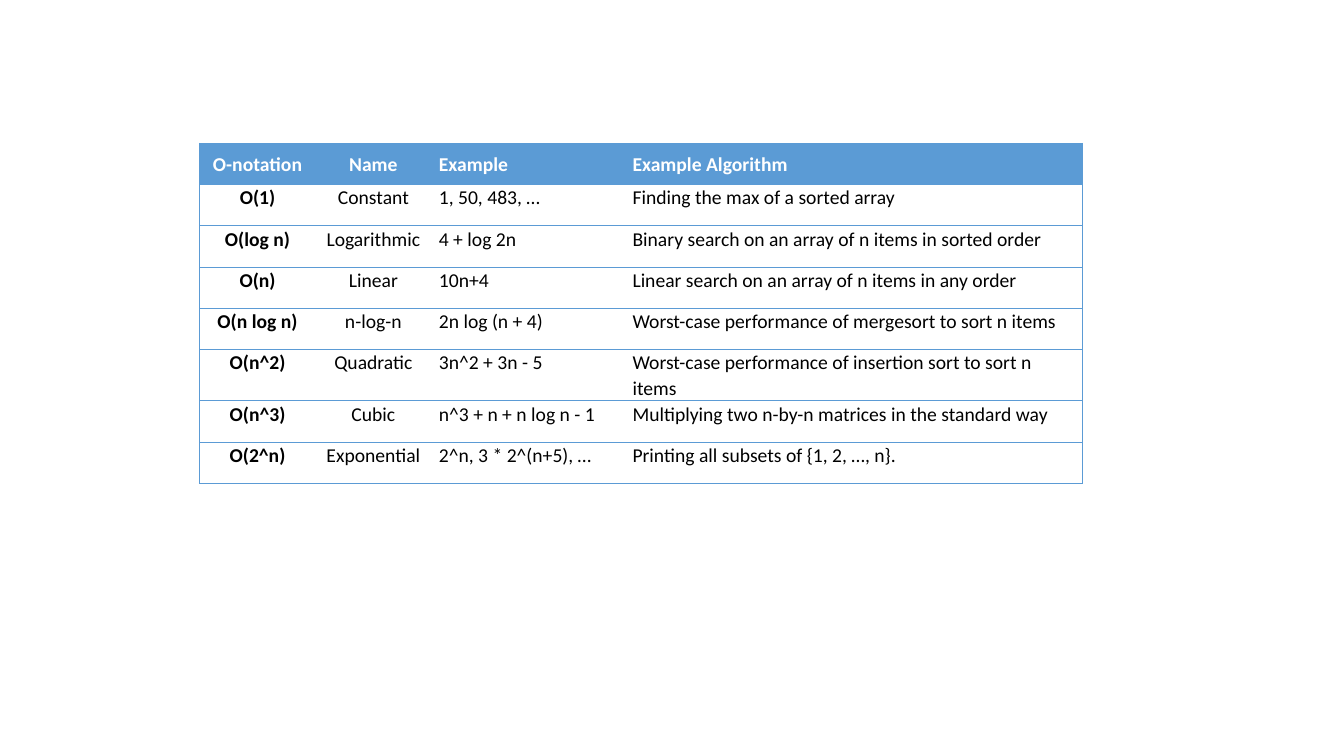
from typing import NamedTuple

from lxml.etree import SubElement
from pptx import Presentation
from pptx.dml.color import RGBColor
from pptx.enum.text import MSO_ANCHOR, PP_ALIGN
from pptx.oxml.ns import qn
from pptx.table import _Cell
from pptx.util import Cm, Pt

BLUE, WHITE, BLACK = "5B9BD5", "FFFFFF", "000000"
ROW_HEIGHT = 1.04


class Column(NamedTuple):
    width: float
    align: PP_ALIGN
    bold: bool


class Complexity(NamedTuple):
    notation: str
    name: str
    example: str
    algorithm: str


COLUMNS = [
    Column(2.92, PP_ALIGN.CENTER, True),
    Column(2.92, PP_ALIGN.CENTER, False),
    Column(4.88, PP_ALIGN.LEFT, False),
    Column(11.53, PP_ALIGN.LEFT, False),
]

ROWS = [
    Complexity("O-notation", "Name", "Example", "Example Algorithm"),
    Complexity("O(1)", "Constant", "1, 50, 483, …", "Finding the max of a sorted array"),
    Complexity("O(log n)", "Logarithmic", "4 + log 2n",
               "Binary search on an array of n items in sorted order"),
    Complexity("O(n)", "Linear", "10n+4", "Linear search on an array of n items in any order"),
    Complexity("O(n log n)", "n-log-n", "2n log (n + 4)",
               "Worst-case performance of mergesort to sort n items"),
    Complexity("O(n^2)", "Quadratic", "3n^2 + 3n - 5",
               "Worst-case performance of insertion sort to sort n items"),
    Complexity("O(n^3)", "Cubic", "n^3 + n + n log n - 1",
               "Multiplying two n-by-n matrices in the standard way"),
    Complexity("O(2^n)", "Exponential", "2^n, 3 * 2^(n+5), …",
               "Printing all subsets of {1, 2, …, n}."),
]


def rgb(color: str) -> RGBColor:
    return RGBColor.from_string(color)


def set_borders(cell: _Cell, visible: str) -> None:
    """Draw the sides named in visible (from "LRTB") and clear the others."""
    tc_pr = cell._tc.get_or_add_tcPr()
    for side in "LRTB":
        ln = SubElement(tc_pr, qn(f"a:ln{side}"), w=str(Pt(0.5)))
        if side in visible:
            fill = SubElement(ln, qn("a:solidFill"))
            SubElement(fill, qn("a:srgbClr"), val=BLUE)
        else:
            SubElement(ln, qn("a:noFill"))


def write_cell(cell: _Cell, text: str, column: Column, header: bool) -> None:
    cell.margin_left = cell.margin_right = Cm(0.19)
    cell.margin_top = cell.margin_bottom = 0
    cell.vertical_anchor = MSO_ANCHOR.MIDDLE if header else MSO_ANCHOR.TOP
    if header:
        cell.fill.solid()
        cell.fill.fore_color.rgb = rgb(BLUE)
    else:
        cell.fill.background()
    cell.text_frame.text = text
    p = cell.text_frame.paragraphs[0]
    p.alignment = column.align
    p.line_spacing = 1.07
    font = p.runs[0].font
    font.name = "Calibri"
    font.size = Pt(14)
    font.bold = header or column.bold
    font.color.rgb = rgb(WHITE if header else BLACK)


def main() -> None:
    prs = Presentation()
    prs.slide_width, prs.slide_height = Cm(33.87), Cm(19.05)
    s = prs.slides.add_slide(prs.slide_layouts[6])

    width = sum(column.width for column in COLUMNS)
    table = s.shapes.add_table(len(ROWS), len(COLUMNS), Cm(5.03), Cm(3.61),
                               Cm(width), Cm(ROW_HEIGHT * len(ROWS))).table
    table.horz_banding = False
    for table_column, column in zip(table.columns, COLUMNS):
        table_column.width = Cm(column.width)

    last = len(COLUMNS) - 1
    for i, row in enumerate(ROWS):
        table.rows[i].height = Cm(ROW_HEIGHT)
        for j, (text, column) in enumerate(zip(row, COLUMNS)):
            cell = table.cell(i, j)
            set_borders(cell, "TB" + ("L" if j == 0 else "R" if j == last else ""))
            write_cell(cell, text, column, header=i == 0)

    prs.save("out.pptx")


if __name__ == "__main__":
    main()
